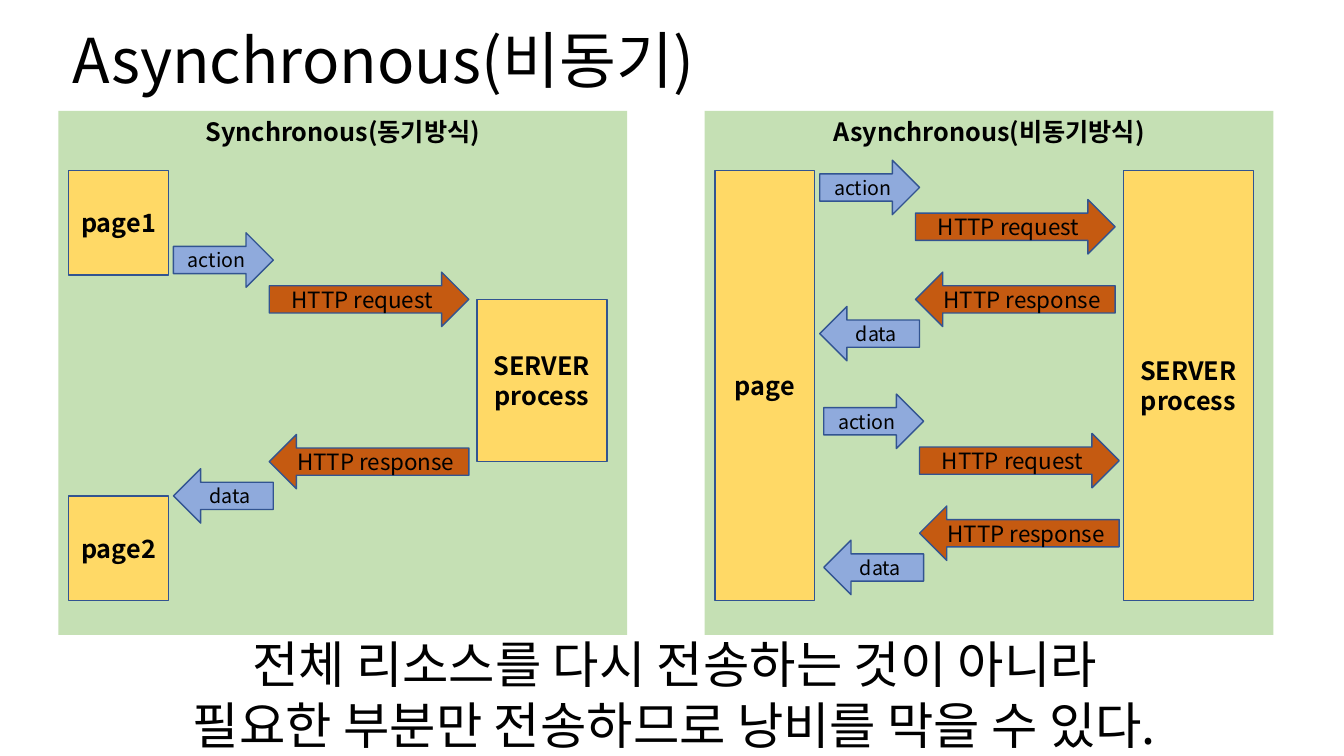
from dataclasses import dataclass

from lxml.etree import SubElement
from pptx import Presentation
from pptx.dml.color import RGBColor
from pptx.enum.shapes import MSO_SHAPE as Preset
from pptx.enum.text import MSO_ANCHOR as Anchor, MSO_AUTO_SIZE as AutoSize, PP_ALIGN as Align
from pptx.oxml.ns import qn
from pptx.slide import Slide
from pptx.text.text import TextFrame
from pptx.util import Emu, Pt

FONT = "Noto Sans CJK KR"
BLACK = RGBColor(0x00, 0x00, 0x00)
GREEN = RGBColor(0xC5, 0xE0, 0xB4)
YELLOW = RGBColor(0xFF, 0xD9, 0x66)
BLUE = RGBColor(0x8F, 0xAA, 0xDC)
ORANGE = RGBColor(0xC5, 0x5A, 0x11)
OUTLINE = RGBColor(0x32, 0x54, 0x91)

EMU_PER_PX = 9144
PANEL_TOP, PANEL_WIDTH, PANEL_HEIGHT = 110, 564, 520
PAGE_WIDTH, SERVER_WIDTH = 99, 129
SHORT_ARROW, LONG_ARROW, ARROW_HEIGHT = 99, 198, 54
STEP_RIGHT, REQUEST_DROP, DATA_DROP = 95, 39, 34


@dataclass(frozen=True)
class Box:
    left: int
    top: int
    width: int
    height: int
    text: str


@dataclass(frozen=True)
class Exchange:
    left: int
    top: int
    response_drop: int


PANELS = [
    Box(58, PANEL_TOP, PANEL_WIDTH, PANEL_HEIGHT, "Synchronous(동기방식)"),
    Box(699, PANEL_TOP, PANEL_WIDTH, PANEL_HEIGHT, "Asynchronous(비동기방식)"),
]
ACTORS = [
    Box(68, 169, PAGE_WIDTH, 104, "page1"),
    Box(68, 492, PAGE_WIDTH, 104, "page2"),
    Box(473, 297, SERVER_WIDTH, 161, "SERVER\nprocess"),
    Box(709, 169, PAGE_WIDTH, 427, "page"),
    Box(1114, 169, SERVER_WIDTH, 427, "SERVER\nprocess"),
]
EXCHANGES = [
    Exchange(172, 231, 200),
    Exchange(813, 159, 111),
    Exchange(817, 391, 111),
]
TITLE = Box(16, 13, 728, 88, "Asynchronous(비동기)")
SUMMARY = Box(
    76, 630, 1186, 117,
    "전체 리소스를 다시 전송하는 것이 아니라\n필요한 부분만 전송하므로 낭비를 막을 수 있다.",
)


def px(length: int) -> Emu:
    return Emu(length * EMU_PER_PX)


def bounds(box: Box) -> tuple[Emu, Emu, Emu, Emu]:
    return px(box.left), px(box.top), px(box.width), px(box.height)


def write(frame: TextFrame, text: str, size: float, anchor: Anchor, bold: bool = False) -> None:
    frame.text = text
    frame.word_wrap = True
    frame.auto_size = AutoSize.NONE
    frame.vertical_anchor = anchor
    for paragraph in frame.paragraphs:
        paragraph.alignment = Align.CENTER
        font = paragraph.font
        font.size = Pt(size)
        font.bold = bold
        font.name = FONT
        font.color.rgb = BLACK
        defaults = paragraph._p.pPr.find(qn("a:defRPr"))
        SubElement(defaults, qn("a:ea")).set("typeface", FONT)


def add_box(
    slide: Slide,
    box: Box,
    fill: RGBColor,
    size: int,
    preset: Preset = Preset.RECTANGLE,
    bold: bool = False,
    outlined: bool = True,
    anchor: Anchor = Anchor.MIDDLE,
) -> None:
    shape = slide.shapes.add_shape(preset, *bounds(box))
    shape.shadow.inherit = False
    shape.fill.solid()
    shape.fill.fore_color.rgb = fill
    if outlined:
        shape.line.color.rgb = OUTLINE
        shape.line.width = Pt(1)
    else:
        shape.line.fill.background()
    write(shape.text_frame, box.text, size, anchor, bold)


def add_exchange(slide: Slide, exchange: Exchange) -> None:
    near, far = exchange.left, exchange.left + STEP_RIGHT
    action_top = exchange.top
    response_top = action_top + exchange.response_drop
    action = Box(near, action_top, SHORT_ARROW, ARROW_HEIGHT, "action")
    request = Box(far, action_top + REQUEST_DROP, LONG_ARROW, ARROW_HEIGHT, "HTTP request")
    response = Box(far, response_top, LONG_ARROW, ARROW_HEIGHT, "HTTP response")
    data = Box(near, response_top + DATA_DROP, SHORT_ARROW, ARROW_HEIGHT, "data")
    add_box(slide, action, BLUE, 14, Preset.RIGHT_ARROW)
    add_box(slide, request, ORANGE, 16, Preset.RIGHT_ARROW)
    add_box(slide, response, ORANGE, 16, Preset.LEFT_ARROW)
    add_box(slide, data, BLUE, 14, Preset.LEFT_ARROW)


def add_title(slide: Slide) -> None:
    title = slide.shapes.title
    title.left, title.top, title.width, title.height = bounds(TITLE)
    write(title.text_frame, TITLE.text, 44.1, Anchor.BOTTOM)
    title.text_frame.paragraphs[0].line_spacing = 0.9


def add_summary(slide: Slide) -> None:
    summary = slide.shapes.add_textbox(*bounds(SUMMARY))
    write(summary.text_frame, SUMMARY.text, 36, Anchor.MIDDLE)


def main() -> None:
    presentation = Presentation()
    presentation.slide_width, presentation.slide_height = px(1333), px(750)
    slide = presentation.slides.add_slide(presentation.slide_layouts[5])
    add_title(slide)
    for panel in PANELS:
        add_box(slide, panel, GREEN, 18, bold=True, outlined=False, anchor=Anchor.TOP)
    for actor in ACTORS:
        add_box(slide, actor, YELLOW, 18, bold=True)
    for exchange in EXCHANGES:
        add_exchange(slide, exchange)
    add_summary(slide)
    presentation.save("out.pptx")


if __name__ == "__main__":
    main()
